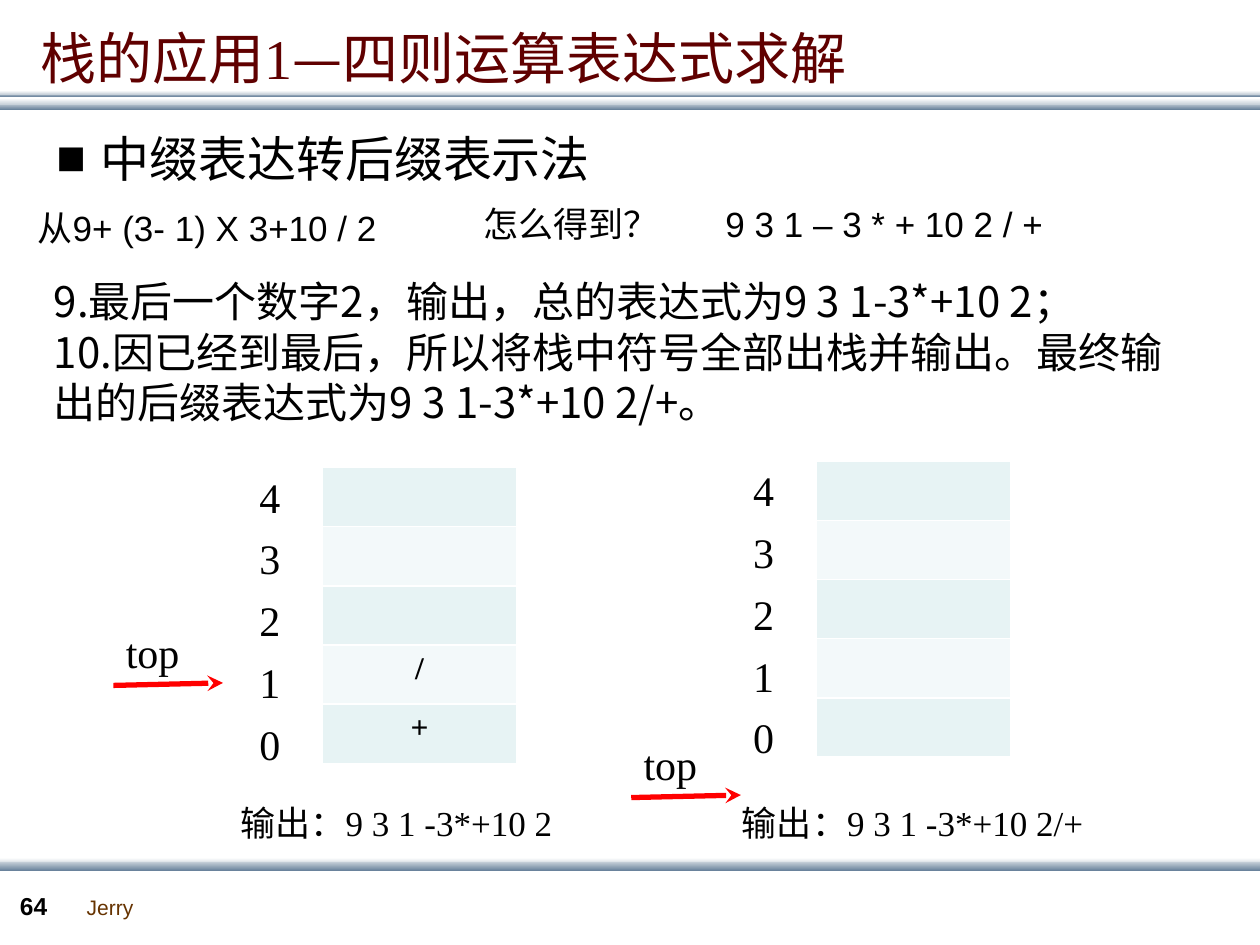
from dataclasses import dataclass

from lxml import etree
from pptx import Presentation
from pptx.dml.color import RGBColor
from pptx.enum.shapes import MSO_CONNECTOR, MSO_SHAPE
from pptx.enum.text import MSO_ANCHOR, PP_ALIGN
from pptx.oxml.ns import qn
from pptx.util import Inches, Pt

RECT = MSO_SHAPE.RECTANGLE
STRAIGHT = MSO_CONNECTOR.STRAIGHT
TOP, MIDDLE = MSO_ANCHOR.TOP, MSO_ANCHOR.MIDDLE
CENTER = PP_ALIGN.CENTER


@dataclass(frozen=True)
class Theme:
    cjk: str = "Noto Sans CJK SC"
    serif: str = "Times New Roman"
    sans: str = "Arial"
    black: str = "000000"
    white: str = "FFFFFF"
    title: str = "600000"
    author: str = "663300"
    arrow: str = "FF0000"
    band_light: str = "C8D1DA"
    band_dark: str = "6A839C"
    rows: tuple = ("E7F3F4", "F3F9FA")
    title_size: int = 32
    heading_size: int = 28
    body_size: int = 24
    formula_size: int = 20
    cell_size: int = 18
    number_size: int = 14
    author_size: int = 12


T = Theme()


def add_run(p, text, font, size, color=T.black, bold=False):
    r = p.add_run()
    r.text = text
    formats = {"name": font, "size": Pt(size), "bold": bold}
    for name, value in formats.items():
        setattr(r.font, name, value)
    r.font.color.rgb = RGBColor.from_string(color)
    ea = etree.Element(qn("a:ea"), typeface=T.cjk)
    r.font._element.find(qn("a:latin")).addnext(ea)


def add_text(s, box, paragraphs, size, color=T.black, bold=False,
             anchor=TOP, wrap=True):
    """Add a text box; each paragraph is a list of (text, font) runs."""
    tf = s.shapes.add_textbox(*map(Inches, box)).text_frame
    tf.word_wrap = wrap
    tf.vertical_anchor = anchor
    for i, runs in enumerate(paragraphs):
        p = tf.add_paragraph() if i else tf.paragraphs[0]
        for text, font in runs:
            add_run(p, text, font, size, color, bold)
    return tf


def add_band(s, top, height, start, end):
    sp = s.shapes.add_shape(RECT, 0, Inches(top), Inches(10), Inches(height))
    sp.shadow.inherit = False
    sp.line.fill.background()
    sp.fill.gradient()
    sp.fill.gradient_angle = 270
    for stop, color in zip(sp.fill.gradient_stops, (start, end)):
        stop.color.rgb = RGBColor.from_string(color)


def add_bullet(p, char):
    pPr = p._p.get_or_add_pPr()
    pPr.set("marL", str(Inches(0.48)))
    pPr.set("indent", str(Inches(-0.35)))
    etree.SubElement(pPr, qn("a:buFont"), typeface=T.sans)
    etree.SubElement(pPr, qn("a:buChar"), char=char)


def add_top_pointer(s, left, top):
    add_text(s, (left, top, 0.67, 0.51), [[("top", T.serif)]], T.body_size)
    ends = (left, top + 0.52, left + 0.87, top + 0.5)
    line = s.shapes.add_connector(STRAIGHT, *map(Inches, ends))
    line.line.color.rgb = RGBColor.from_string(T.arrow)
    line.line.width = Pt(3)
    etree.SubElement(line.line._get_or_add_ln(), qn("a:tailEnd"), type="stealth")
    etree.SubElement(line._element.spPr, qn("a:effectLst"))


def set_borders(cell):
    tcPr = cell._tc.get_or_add_tcPr()
    for i, side in enumerate(("lnL", "lnR", "lnT", "lnB")):
        ln = etree.Element(qn(f"a:{side}"), w=str(Pt(1)))
        fill = etree.SubElement(ln, qn("a:solidFill"))
        etree.SubElement(fill, qn("a:srgbClr"), val=T.white)
        tcPr.insert(i, ln)


def add_stack(s, left, top, values):
    """Draw a stack with index labels; values run from top to bottom."""
    count = len(values)
    box = (left, top, 1.54, 0.47 * count)
    table = s.shapes.add_table(count, 1, *map(Inches, box)).table
    table.first_row = table.horz_banding = False
    for i, value in enumerate(values):
        cell = table.cell(i, 0)
        cell.fill.solid()
        cell.fill.fore_color.rgb = RGBColor.from_string(T.rows[i % 2])
        set_borders(cell)
        if value:
            p = cell.text_frame.paragraphs[0]
            p.alignment = CENTER
            add_run(p, value, T.serif, T.cell_size, bold=True)
        label = (left - 0.6, top - 0.02 + 0.49 * i, 0.46, 0.51)
        add_text(s, label, [[(str(count - 1 - i), T.serif)]], T.body_size)


def add_frame(s):
    for top, height, start, end in (
        (0.82, 0.05, T.band_light, T.band_dark),
        (0.74, 0.03, T.band_light, T.band_dark),
        (0.78, 0.05, T.white, T.band_light),
        (0.72, 0.03, T.white, T.band_light),
        (6.81, 0.05, T.white, T.band_light),
        (6.84, 0.07, T.band_light, T.band_dark),
    ):
        add_band(s, top, height, start, end)
    add_text(s, (0.59, 7.05, 0.57, 0.3), [[("Jerry", T.sans)]],
             T.author_size, T.author, wrap=False)
    add_text(s, (0.06, 7.02, 0.55, 0.33), [[("64", T.sans)]],
             T.number_size, bold=True)


def main():
    prs = Presentation()
    prs.slide_width, prs.slide_height = Inches(10), Inches(7.5)
    s = prs.slides.add_slide(prs.slide_layouts[6])

    add_frame(s)
    title = [("栈的应用", T.cjk), ("1", T.serif), ("—四则运算表达式求解", T.cjk)]
    add_text(s, (0.22, 0.18, 9.6, 0.55), [title], T.title_size, T.title,
             anchor=MIDDLE)
    heading = add_text(s, (0.22, 0.97, 9, 0.62),
                       [[("中缀表达转后缀表示法", T.cjk)]], T.heading_size)
    add_bullet(heading.paragraphs[0], "■")

    infix = [("从", T.cjk), ("9+ (3- 1) X 3+10 / 2", T.sans)]
    add_text(s, (0.2, 1.59, 3.07, 0.44), [infix], T.formula_size)
    add_text(s, (3.74, 1.56, 1.6, 0.44), [[("怎么得到？", T.cjk)]],
             T.formula_size, wrap=False)
    add_text(s, (5.66, 1.56, 4.16, 0.44),
             [[("9 3 1 – 3 * + 10 2 / +", T.sans)]], T.formula_size)

    steps = ("9.最后一个数字2，输出，总的表达式为9 3 1-3*+10 2；",
             "10.因已经到最后，所以将栈中符号全部出栈并输出。"
             "最终输出的后缀表达式为9 3 1-3*+10 2/+。")
    add_text(s, (0.33, 2.14, 9.21, 1.31), [[(step, T.cjk)] for step in steps],
             T.body_size)

    add_stack(s, 2.56, 3.71, ("", "", "", "/", "+"))
    add_stack(s, 6.48, 3.66, ("",) * 5)
    add_top_pointer(s, 0.9, 4.92)
    add_top_pointer(s, 5.01, 5.81)
    for left, width, output in ((1.81, 3.01, "9 3 1 -3*+10 2"),
                                (5.79, 3.48, "9 3 1 -3*+10 2/+")):
        add_text(s, (left, 6.31, width, 0.44),
                 [[(f"输出：{output}", T.serif)]], T.formula_size)

    prs.save("out.pptx")


if __name__ == "__main__":
    main()
